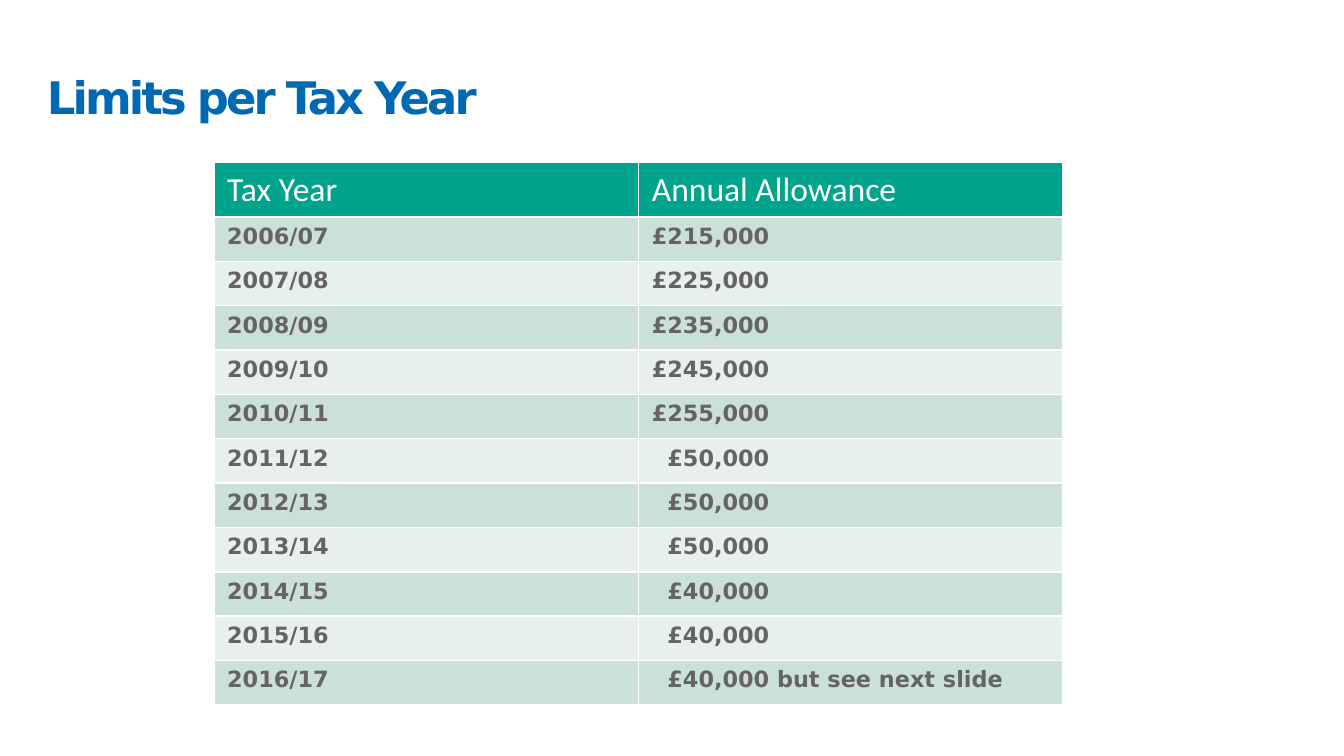
from pptx import Presentation
from pptx.dml.color import RGBColor
from pptx.enum.text import MSO_ANCHOR
from pptx.oxml.ns import qn
from pptx.util import Inches, Pt
from lxml.etree import SubElement

WHITE = RGBColor(0xFF, 0xFF, 0xFF)
BLUE = RGBColor(0x00, 0x69, 0xB4)
TEAL = RGBColor(0x00, 0xA4, 0x8C)
DARK_BAND = RGBColor(0xCC, 0xE0, 0xDA)
LIGHT_BAND = RGBColor(0xE7, 0xF0, 0xEE)
GREY = RGBColor(0x66, 0x63, 0x66)

HEADINGS = ("Tax Year", "Annual Allowance")
ALLOWANCES = [
    ("2006/07", "£215,000"),
    ("2007/08", "£225,000"),
    ("2008/09", "£235,000"),
    ("2009/10", "£245,000"),
    ("2010/11", "£255,000"),
    ("2011/12", "£50,000"),
    ("2012/13", "£50,000"),
    ("2013/14", "£50,000"),
    ("2014/15", "£40,000"),
    ("2015/16", "£40,000"),
    ("2016/17", "£40,000 but see next slide"),
]


class SlideBuilder:
    heading_font = "Calibri"
    body_font = "DejaVu Sans"
    grid_columns = 100
    grid_rows = 100
    digit_indent = Pt(8.35)

    def __init__(self, presentation):
        self.column = presentation.slide_width / self.grid_columns
        self.row = presentation.slide_height / self.grid_rows
        self.slide = presentation.slides.add_slide(presentation.slide_layouts[6])

    def box(self, left, top, width, height):
        return (round(left * self.column), round(top * self.row),
                round(width * self.column), round(height * self.row))

    def format_run(self, run, font, size, color, bold):
        run.font.name = font
        run.font.size = Pt(size)
        run.font.color.rgb = color
        run.font.bold = bold

    def title(self, text, *position):
        shape = self.slide.shapes.add_textbox(*self.box(*position))
        text_frame = shape.text_frame
        text_frame.word_wrap = True
        text_frame.vertical_anchor = MSO_ANCHOR.MIDDLE
        text_frame.text = text
        paragraph = text_frame.paragraphs[0]
        paragraph.line_spacing = 0.8
        run = paragraph.runs[0]
        self.format_run(run, self.body_font, 24, BLUE, True)
        run.font._element.set("spc", "-150")

    def borders(self, cell):
        properties = cell._tc.get_or_add_tcPr()
        for side in "LRTB":
            line = SubElement(properties, qn(f"a:ln{side}"), w=str(Pt(1)))
            fill = SubElement(line, qn("a:solidFill"))
            SubElement(fill, qn("a:srgbClr"), val=str(WHITE))

    def cell(self, cell, text, fill, font, size, color, bold):
        self.borders(cell)
        cell.fill.solid()
        cell.fill.fore_color.rgb = fill
        cell.text_frame.text = text
        paragraph = cell.text_frame.paragraphs[0]
        self.format_run(paragraph.runs[0], font, size, color, bold)
        return paragraph

    def table(self, headings, records, left, top, width, header_height, row_height):
        height = header_height + row_height * len(records)
        frame = self.slide.shapes.add_table(
            len(records) + 1, len(headings), *self.box(left, top, width, height))
        table = frame.table
        for row in table.rows:
            row.height = round(row_height * self.row)
        table.rows[0].height = round(header_height * self.row)
        for column, heading in enumerate(headings):
            self.cell(table.cell(0, column), heading, TEAL,
                      self.heading_font, 18, WHITE, False)
        for index, record in enumerate(records, start=1):
            band = DARK_BAND if index % 2 else LIGHT_BAND
            for column, text in enumerate(record):
                paragraph = self.cell(table.cell(index, column), text, band,
                                      self.body_font, 12, GREY, True)
                if text.startswith(("£4", "£5")):
                    properties = paragraph._p.get_or_add_pPr()
                    properties.set("marL", str(self.digit_indent))
                    properties.set("indent", "0")


def main():
    presentation = Presentation()
    presentation.slide_width = Inches(10)
    presentation.slide_height = presentation.slide_width * 9 // 16
    builder = SlideBuilder(presentation)
    builder.title("Limits per Tax Year", 2.5, 0.89, 90.2, 25.07)
    builder.table(HEADINGS, ALLOWANCES, left=15.9, top=21.51, width=63.2,
                  header_height=7.2, row_height=5.87)
    presentation.save("out.pptx")


if __name__ == "__main__":
    main()
